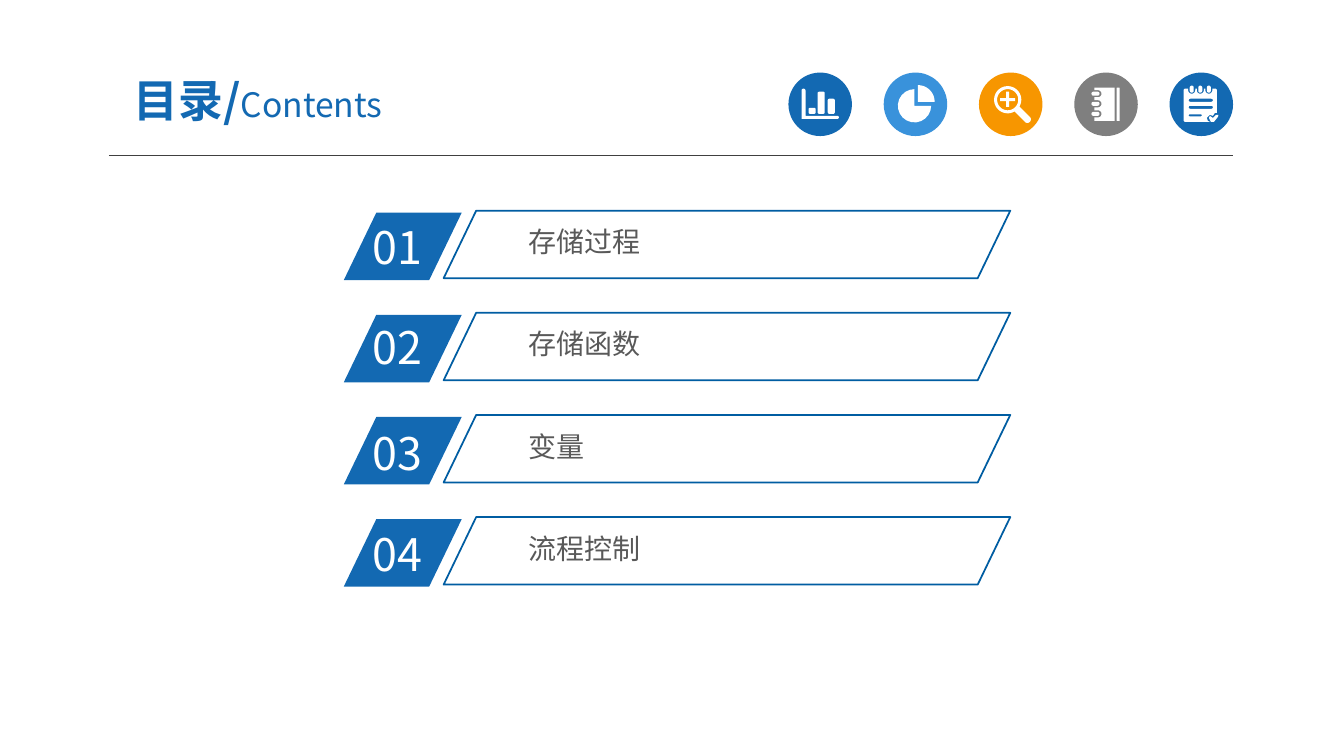
from math import cos, radians, sin
from lxml import etree
from pptx import Presentation, util as u
from pptx.dml.color import RGBColor
from pptx.enum import shapes, text
from pptx.oxml.ns import qn

BLUE = RGBColor(0x13, 0x69, 0xB2)
SKY = RGBColor(0x39, 0x92, 0xDB)
GOLD = RGBColor(0xF7, 0x96, 0x00)
GREY = RGBColor(0x7F, 0x7F, 0x7F)
EDGE = RGBColor(0x00, 0x5D, 0xA2)
RULE = RGBColor(0x40, 0x40, 0x40)
INK = RGBColor(0x59, 0x59, 0x59)
WHITE = RGBColor(0xFF, 0xFF, 0xFF)
FACE = "Noto Sans CJK SC"

TITLE = [
    ("目录/", {"size": u.Pt(32), "bold": True}, BLUE),
    ("Contents", {"size": u.Pt(24), "bold": False}, BLUE),
]
ITEMS = [
    ("01", "存储过程", 0.02),
    ("02", "存储函数", 0),
    ("03", "变量", 0.04),
    ("04", "流程控制", 0.03),
]


def arc(x, y, r, start, end, steps=16):
    turns = [radians(start + (end - start) * n / steps) for n in range(steps + 1)]
    return [(x + r * cos(t), y + r * sin(t)) for t in turns]


def pill(x, y, w, h, r):
    right, low = x + w - r, y + h - r
    return (arc(x + r, y + r, r, 180, 270, 4) + arc(right, y + r, r, 270, 360, 4)
            + arc(right, low, r, 0, 90, 4) + arc(x + r, low, r, 90, 180, 4))


RINGS = (41, 31, 21)
PINS = (22, 30.5, 39)

CHART = [
    arc(15, 18, 2, 180, 360) + [(17, 43)] + arc(48.5, 44.5, 1.5, -90, 90) + [(13, 46)],
    pill(20, 35, 7, 6, 1.5),
    pill(29, 19, 7, 22, 1.5),
    pill(39, 26, 7, 15, 1.5),
]
PIE = [
    arc(30.5, 33, 16.5, 0, 270) + [(30.5, 33)],
    arc(34, 29, 16.5, -90, 0) + [(34, 29)],
]
LENS = [
    arc(28.5, 27, 13.5, 60, 390, 40) + arc(48, 46.5, 3.5, -45, 135),
    arc(28.5, 27, 10.5, 360, 0, 40),
    [(21, 25.5), (27, 25.5), (27, 19), (30, 19), (30, 25.5), (36, 25.5),
     (36, 28.5), (30, 28.5), (30, 34), (27, 34), (27, 28.5), (21, 28.5)],
]
BOOK = [
    [(20, 15), (40, 15), (40, 48), (20, 48)]
    + [p for y in RINGS for p in [(20, y + 3.5)] + arc(23.5, y, 3.5, 90, -90) + [(20, y - 3.5)]],
    pill(42, 15, 3, 33, 0.5),
] + [pill(17, y - 2, 8, 4, 2) for y in RINGS]
LIST = [
    [(14, 17), (15, 16)]
    + [p for x in PINS for p in [(x - 3.5, 16)] + arc(x, 17.5, 3.5, 180, 0) + [(x + 3.5, 16)]]
    + [(46, 16), (47, 17), (47, 40), (45, 40), (43, 43), (40, 42), (37, 45),
       (38, 48), (40, 49), (15, 49), (14, 48)],
    [(48, 44), (44, 49), (41, 49), (39, 45), (40, 43), (43, 45), (46, 42), (48.5, 42)],
    pill(19, 26, 24, 3, 1.5),
    pill(19, 33, 24, 3, 1.5),
    pill(19, 41.5, 13, 2, 1),
] + [pill(x - 2, 13, 4, 7, 2) for x in PINS]
ICONS = [(CHART, BLUE), (PIE, SKY), (LENS, GOLD), (BOOK, GREY), (LIST, BLUE)]

DISC, ICON_X, ICON_Y, ICON_GAP = 0.63, 7.82, 0.72, 0.945
ROW_Y, PITCH, HIGH, SLANT = 2.11, 3.04 / 3, 0.67, 0.482
KIND = shapes.MSO_SHAPE

deck = Presentation()
deck.slide_width, deck.slide_height = u.Inches(13.33), u.Inches(7.5)
slide = deck.slides.add_slide(deck.slide_layouts[5])


def inch(box):
    return [u.Inches(v) for v in box]


def paint(item, fill=None, line=None):
    item.shadow.inherit = False
    if fill is None:
        item.fill.background()
    else:
        item.fill.solid()
        item.fill.fore_color.rgb = fill
    if line is None:
        item.line.fill.background()
    else:
        item.line.color.rgb = line
        item.line.width = u.Pt(1.25)


def draw(host, kind, box, adj=(), **look):
    item = host.add_shape(kind, *inch(box))
    for n, val in enumerate(adj):
        item.adjustments[n] = val
    paint(item, **look)


def trace(host, left, top, loops):
    spots = [[inch((left + x / 100, top + y / 100)) for x, y in loop] for loop in loops]
    pen = host.build_freeform(*spots[0][0])
    for n, loop in enumerate(spots):
        if n:
            pen.move_to(*loop[0])
        pen.add_line_segments(loop[1:], close=True)
    paint(pen.convert_to_shape(), WHITE)


def write(para, words, style, color):
    run = para.add_run()
    run.text = words
    for key, val in {"name": FACE, **style}.items():
        setattr(run.font, key, val)
    run.font.color.rgb = color
    etree.SubElement(run.font._element, qn("a:ea"), typeface=FACE)


def pad(frame, wide, high, **form):
    form.update(margin_left=u.Inches(wide), margin_right=u.Inches(wide),
                margin_top=u.Inches(high), margin_bottom=u.Inches(high))
    for key, val in form.items():
        setattr(frame, key, val)


def label(host, box, words, size, color, gaps):
    frame = host.add_textbox(*inch(box)).text_frame
    pad(frame, *gaps, word_wrap=True)
    write(frame.paragraphs[0], words, {"size": u.Pt(size)}, color)


title = slide.shapes.title
title.left, title.top, title.width, title.height = inch((0.92, 0.63, 3.28, 0.72))
frame = title.text_frame
pad(frame, 0.13, 0.07, vertical_anchor=text.MSO_ANCHOR.MIDDLE,
    auto_size=text.MSO_AUTO_SIZE.NONE)
frame.paragraphs[0].alignment = text.PP_ALIGN.CENTER
for part in TITLE:
    write(frame.paragraphs[0], *part)

rule = slide.shapes.add_connector(
    shapes.MSO_CONNECTOR.STRAIGHT, *inch((1.08, 1.54, 12.23, 1.54)))
rule.line.color.rgb = RULE
rule.line.width = u.Pt(0.75)
etree.SubElement(rule._element.spPr, qn("a:effectLst"))

for n, (loops, hue) in enumerate(ICONS):
    left = ICON_X + n * ICON_GAP
    icon = slide.shapes.add_group_shape().shapes
    draw(icon, KIND.OVAL, (left, ICON_Y, DISC, DISC), fill=hue)
    trace(icon, left, ICON_Y, loops)

for n, (num, words, nudge) in enumerate(ITEMS):
    top = ROW_Y + n * PITCH
    tab = slide.shapes.add_group_shape().shapes
    draw(tab, KIND.PARALLELOGRAM, (3.41, top, 1.17, HIGH), [SLANT], fill=BLUE)
    label(tab, (3.6, top + nudge, 1.12, 0.64), num, 32, WHITE, (0.1, 0.05))
    bar = slide.shapes.add_group_shape().shapes
    label(bar, (5.17, top + 0.08, 4.12, 0.41), words, 20, INK, (0.07, 0.04))
    draw(bar, KIND.PARALLELOGRAM, (4.4, top - 0.02, 5.62, HIGH), [SLANT], line=EDGE)

deck.save("out.pptx")
